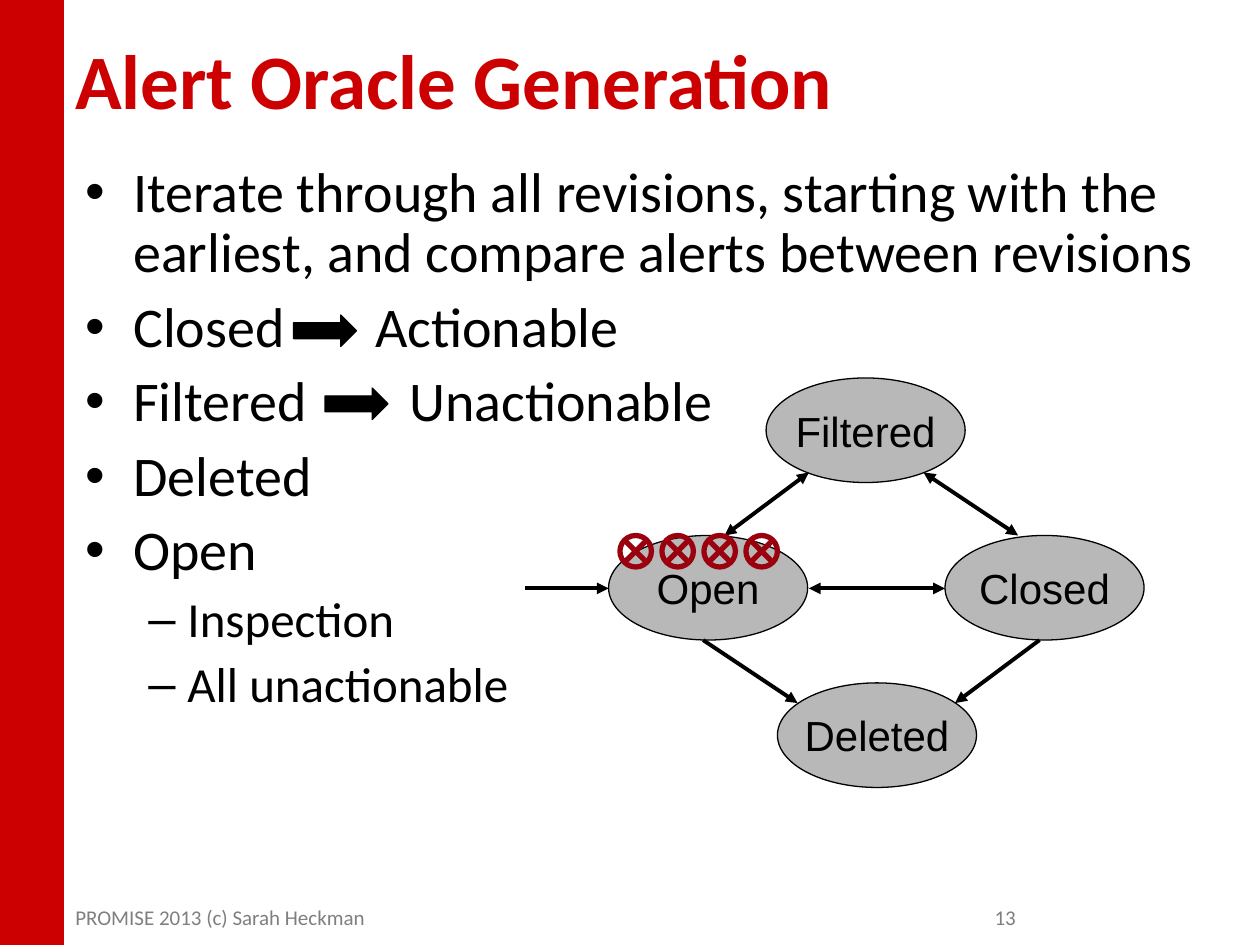
from lxml import etree
from pptx import Presentation
from pptx.dml.color import RGBColor
from pptx.enum.shapes import MSO_CONNECTOR, MSO_SHAPE
from pptx.enum.text import MSO_ANCHOR, PP_ALIGN
from pptx.oxml.ns import qn
from pptx.util import Inches, Pt

LEFT, CENTER, RIGHT = PP_ALIGN.LEFT, PP_ALIGN.CENTER, PP_ALIGN.RIGHT
TOP, MIDDLE = MSO_ANCHOR.TOP, MSO_ANCHOR.MIDDLE
RECTANGLE, ELLIPSE = MSO_SHAPE.RECTANGLE, MSO_SHAPE.OVAL
BLOCK_ARROW = MSO_SHAPE.RIGHT_ARROW
CROSSED_CIRCLE = MSO_SHAPE.FLOWCHART_SUMMING_JUNCTION
STRAIGHT = MSO_CONNECTOR.STRAIGHT

COLORS = {"red": "CC0000", "black": "000000", "footer": "7F7F7F",
          "state": "B8B8B8", "alert": "9A000D"}

# text, level, tab stop that leaves room for a block arrow
BULLETS = [
    ("Iterate through all revisions, starting with the earliest, "
     "and compare alerts between revisions", 0, None),
    ("Closed\tActionable", 0, 2.3),
    ("Filtered\tUnactionable", 0, 2.57),
    ("Deleted", 0, None),
    ("Open", 0, None),
    ("Inspection", 1, None),
    ("All unactionable", 1, None),
]
# per level: bullet, left margin, hanging indent, size, space before
LEVELS = [("•", 0.38, 0.38, 32, 8), ("–", 0.81, 0.31, 28, 7)]

STATE_SIZE = (1.58, 0.83)
STATES = {"Open": (0.66, 1.25), "Deleted": (2, 2.42),
          "Closed": (3.33, 1.25), "Filtered": (1.91, 0)}
# start, end, whether the arrow points both ways
TRANSITIONS = [
    ((0, 1.67), (0.66, 1.67), False),
    ((2.25, 1.67), (3.33, 1.67), True),
    ((1.41, 2.08), (2.16, 2.58), False),
    ((4.08, 2.08), (3.41, 2.58), False),
    ((3.16, 0.75), (3.91, 1.25), True),
    ((2.25, 0.75), (1.58, 1.25), True),
]


def rgb(name):
    return RGBColor.from_string(COLORS[name])


def style_font(paragraph, size, color, face="Calibri", bold=False):
    font = paragraph.font
    font.size, font.name, font.bold = Pt(size), face, bold
    font.color.rgb = rgb(color)


def add_shape(slide, kind, box, fill, line, width=0.75):
    shape = slide.shapes.add_shape(kind, *map(Inches, box))
    shape.shadow.inherit = False
    if fill:
        shape.fill.solid()
        shape.fill.fore_color.rgb = rgb(fill)
    else:
        shape.fill.background()
    shape.line.color.rgb = rgb(line)
    shape.line.width = Pt(width)
    return shape


def add_text_frame(slide, box, anchor=TOP):
    frame = slide.shapes.add_textbox(*map(Inches, box)).text_frame
    frame.word_wrap = True
    frame.vertical_anchor = anchor
    return frame


def add_label(slide, box, text, size, color, bold=False, align=LEFT, anchor=TOP):
    paragraph = add_text_frame(slide, box, anchor).paragraphs[0]
    paragraph.text = text
    paragraph.alignment = align
    style_font(paragraph, size, color, bold=bold)


def add_bullet(paragraph, character, margin, hanging, tab):
    properties = paragraph._p.get_or_add_pPr()
    properties.set("marL", str(Inches(margin)))
    properties.set("indent", str(-Inches(hanging)))
    etree.SubElement(properties, qn("a:buFont"), typeface="Arial")
    etree.SubElement(properties, qn("a:buChar"), char=character)
    if tab:
        tabs = etree.SubElement(properties, qn("a:tabLst"))
        etree.SubElement(tabs, qn("a:tab"), pos=str(Inches(tab)), algn="l")


def add_bullet_list(slide, box):
    left, top = box[:2]
    frame = add_text_frame(slide, box)
    for index, (text, level, tab) in enumerate(BULLETS):
        paragraph = frame.paragraphs[0] if index == 0 else frame.add_paragraph()
        character, margin, hanging, size, space = LEVELS[level]
        paragraph.text = text
        paragraph.level = level
        add_bullet(paragraph, character, margin, hanging, tab)
        paragraph.line_spacing = 0.9
        paragraph.space_before = Pt(space if index else 0)
        style_font(paragraph, size, "black")
    for x, y in ((1.75, 1.25), (2, 1.83)):
        add_shape(slide, BLOCK_ARROW, (left + x, top + y, 0.5, 0.25), "black", "black")


def add_transition(slide, start, end, both_ways):
    arrow = slide.shapes.add_connector(STRAIGHT, *map(Inches, (*start, *end)))
    arrow.line.color.rgb = rgb("black")
    arrow.line.width = Pt(2.25)
    line = arrow.line._get_or_add_ln()
    for tip in ("a:headEnd", "a:tailEnd") if both_ways else ("a:tailEnd",):
        etree.SubElement(line, qn(tip), type="triangle")
    etree.SubElement(arrow._element.spPr, qn("a:effectLst"))


def add_state_diagram(slide, left, top):
    for name, (x, y) in STATES.items():
        state = add_shape(slide, ELLIPSE, (left + x, top + y, *STATE_SIZE),
                          "state", "black")
        frame = state.text_frame
        frame.word_wrap = False
        frame.vertical_anchor = MIDDLE
        paragraph = frame.paragraphs[0]
        paragraph.text = name
        paragraph.alignment = CENTER
        style_font(paragraph, 24, "black", "Arial")
    for start, end, both_ways in TRANSITIONS:
        add_transition(slide, (left + start[0], top + start[1]),
                       (left + end[0], top + end[1]), both_ways)
    for index in range(4):
        add_shape(slide, CROSSED_CIRCLE,
                  (left + 0.75 + index / 3, top + 1.25, 0.25, 0.25),
                  None, "alert", 3)


def add_footer(slide, left, top):
    add_label(slide, (left, top, 3.17, 0.5), "PROMISE 2013 (c) Sarah Heckman",
              12, "footer")
    add_label(slide, (left + 5.58, top, 2.08, 0.5), "13", 12, "footer", align=RIGHT)


def main():
    deck = Presentation()
    deck.slide_width, deck.slide_height = Inches(10), Inches(7.5)
    slide = deck.slides.add_slide(deck.slide_layouts[6])
    add_shape(slide, RECTANGLE, (0, 0, 0.5, 7.5), "red", "red")
    add_label(slide, (0.5, 0, 9.33, 1.25), "Alert Oracle Generation",
              44, "red", bold=True, anchor=MIDDLE)
    add_footer(slide, 0.5, 7.13)
    add_bullet_list(slide, (0.58, 1.25, 9.17, 5.25))
    add_state_diagram(slide, 4.17, 3)
    deck.save("out.pptx")


if __name__ == "__main__":
    main()
